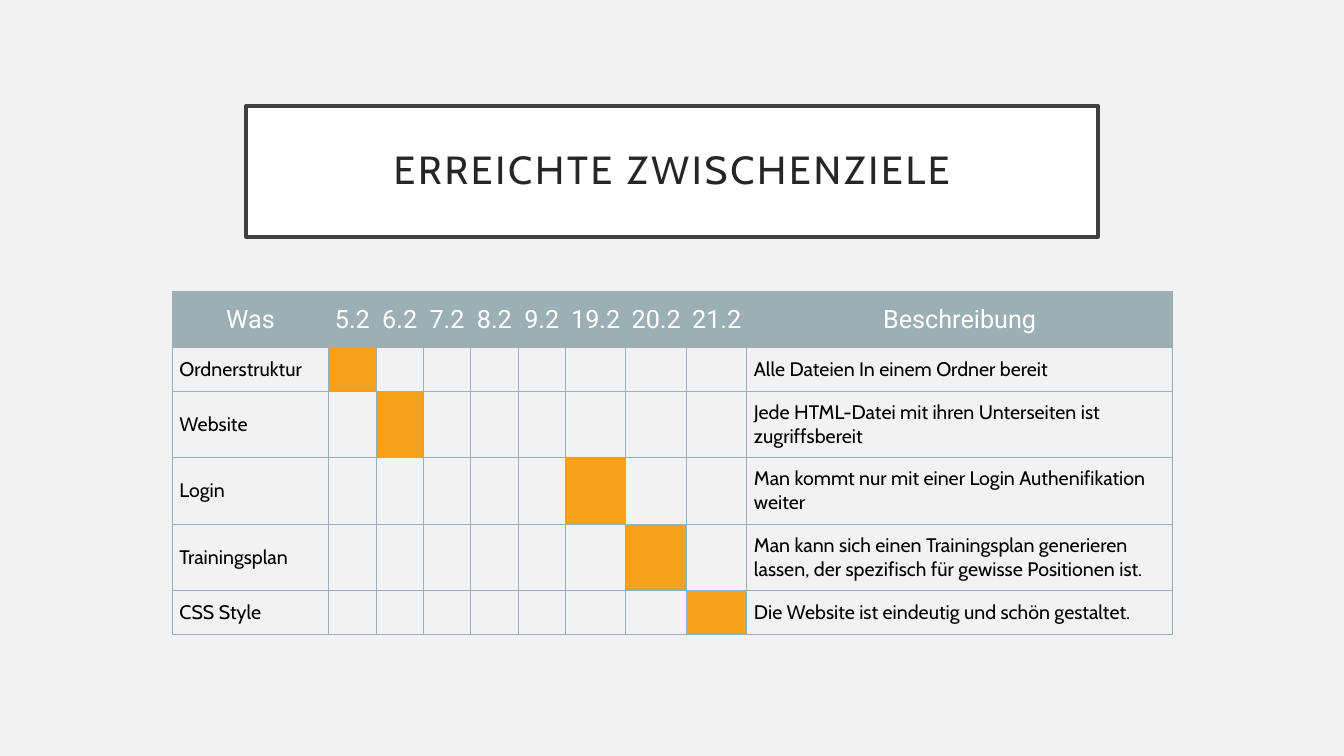
from lxml import etree
from pptx import Presentation
from pptx.dml.color import RGBColor as RGB
from pptx.enum.text import MSO_ANCHOR as ANCHOR, MSO_AUTO_SIZE as AUTO, PP_ALIGN as ALIGN
from pptx.oxml.ns import qn
from pptx.util import Inches, Pt

TITLE = "ERREICHTE ZWISCHENZIELE"
DATES = ["5.2", "6.2", "7.2", "8.2", "9.2", "19.2", "20.2", "21.2"]
HEADER = ["Was", *DATES, "Beschreibung"]
GOALS = [
    ("Ordnerstruktur", "5.2", "Alle Dateien In einem Ordner bereit"),
    ("Website", "6.2", "Jede HTML-Datei mit ihren Unterseiten ist zugriffsbereit"),
    ("Login", "19.2", "Man kommt nur mit einer Login Authenifikation weiter"),
    ("Trainingsplan", "20.2",
     "Man kann sich einen Trainingsplan generieren lassen, der spezifisch für gewisse Positionen ist."),
    ("CSS Style", "21.2", "Die Website ist eindeutig und schön gestaltet."),
]
COL_WIDTHS = [1.55] + [0.47] * 5 + [0.6] * 3 + [4.22]
ROW_HEIGHTS = [0.56, 0.43, 0.66, 0.66, 0.66, 0.43]


class Theme:
    background = RGB.from_string("F2F2F2")
    box = RGB.from_string("FFFFFF")
    frame = RGB.from_string("404040")
    header = RGB.from_string("9BAFB5")
    done = RGB.from_string("F6A21D")
    title_font = {"name": "Cabin", "size": Pt(28), "color": RGB.from_string("262626")}
    header_font = {"name": "Roboto", "size": Pt(18), "color": RGB.from_string("FFFFFF")}
    body_font = {"name": "Cabin", "size": Pt(14), "color": RGB.from_string("000000")}


def set_attrs(obj, values):
    for name, value in values.items():
        setattr(obj, name, value)


def write(tf, text, font, align):
    p = tf.paragraphs[0]
    p.alignment = align
    r = p.add_run()
    set_attrs(r, {"text": text})
    set_attrs(r.font, {"name": font["name"], "size": font["size"], "bold": False})
    r.font.color.rgb = font["color"]
    return p, r


def set_margins(obj, size):
    set_attrs(obj, {f"margin_{side}": Inches(size) for side in ("left", "top", "right", "bottom")})


def add_borders(cell):
    tc_pr = cell._tc.get_or_add_tcPr()
    for side in "LRTB":
        ln = etree.SubElement(tc_pr, qn(f"a:ln{side}"), w=str(Pt(0.75)))
        fill = etree.SubElement(ln, qn("a:solidFill"))
        etree.SubElement(fill, qn("a:srgbClr"), val=str(Theme.header))


def fill_cell(cell, color):
    if color is None:
        cell.fill.background()
    else:
        cell.fill.solid()
        cell.fill.fore_color.rgb = color


def add_title(s):
    sp = s.shapes.title
    set_attrs(sp, {"left": Inches(2.44), "top": Inches(1.05),
                   "width": Inches(8.45), "height": Inches(1.3)})
    sp.fill.solid()
    sp.fill.fore_color.rgb = Theme.box
    sp.line.color.rgb = Theme.frame
    sp.line.width = Pt(2.5)
    tf = sp.text_frame
    set_attrs(tf, {"word_wrap": True, "auto_size": AUTO.NONE, "vertical_anchor": ANCHOR.MIDDLE})
    set_margins(tf, 0.2)
    p, r = write(tf, TITLE, Theme.title_font, ALIGN.CENTER)
    p.line_spacing = 0.9
    r.font._element.set("spc", "200")


def add_schedule(s):
    table = s.shapes.add_table(
        len(ROW_HEIGHTS), len(COL_WIDTHS), Inches(1.71), Inches(2.89),
        Inches(sum(COL_WIDTHS)), Inches(sum(ROW_HEIGHTS))).table
    set_attrs(table, {"first_row": False, "horz_banding": False})
    for col, width in zip(table.columns, COL_WIDTHS):
        col.width = Inches(width)
    for row, height in zip(table.rows, ROW_HEIGHTS):
        row.height = Inches(height)
    for cell in table.iter_cells():
        add_borders(cell)
        cell.vertical_anchor = ANCHOR.MIDDLE
    for cell, text in zip(table.rows[0].cells, HEADER):
        fill_cell(cell, Theme.header)
        set_margins(cell, 0)
        write(cell.text_frame, text, Theme.header_font, ALIGN.CENTER)
    for row, (goal, date, description) in zip(list(table.rows)[1:], GOALS):
        cells = list(row.cells)
        for cell, label in zip(cells, HEADER):
            fill_cell(cell, Theme.done if label == date else None)
        for cell, text in ((cells[0], goal), (cells[-1], description)):
            set_margins(cell, 0.07)
            write(cell.text_frame, text, Theme.body_font, ALIGN.LEFT)


def main():
    prs = Presentation()
    set_attrs(prs, {"slide_width": Inches(13.33), "slide_height": Inches(7.5)})
    s = prs.slides.add_slide(prs.slide_layouts[5])
    s.background.fill.solid()
    s.background.fill.fore_color.rgb = Theme.background
    add_title(s)
    add_schedule(s)
    prs.save("out.pptx")


if __name__ == "__main__":
    main()
